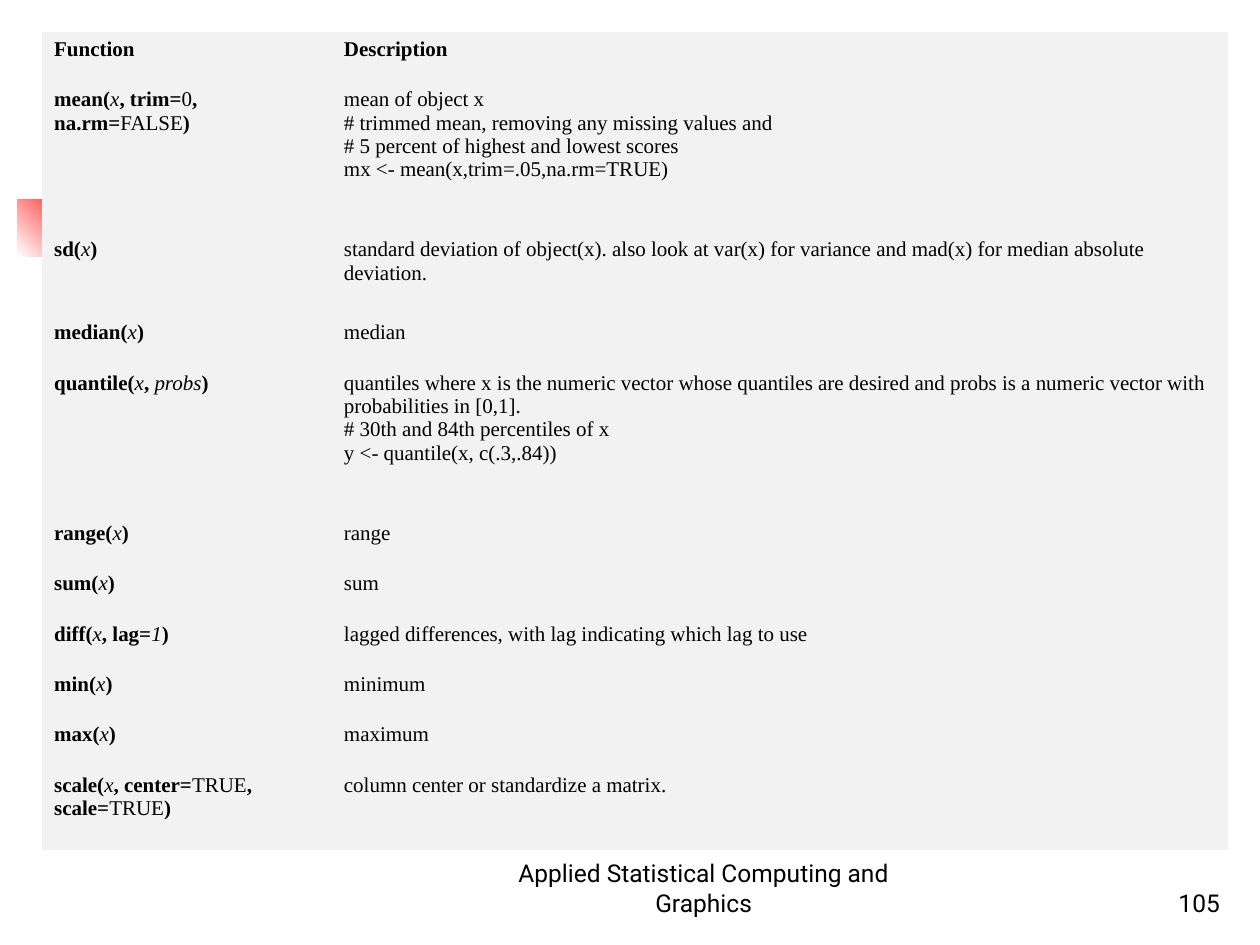
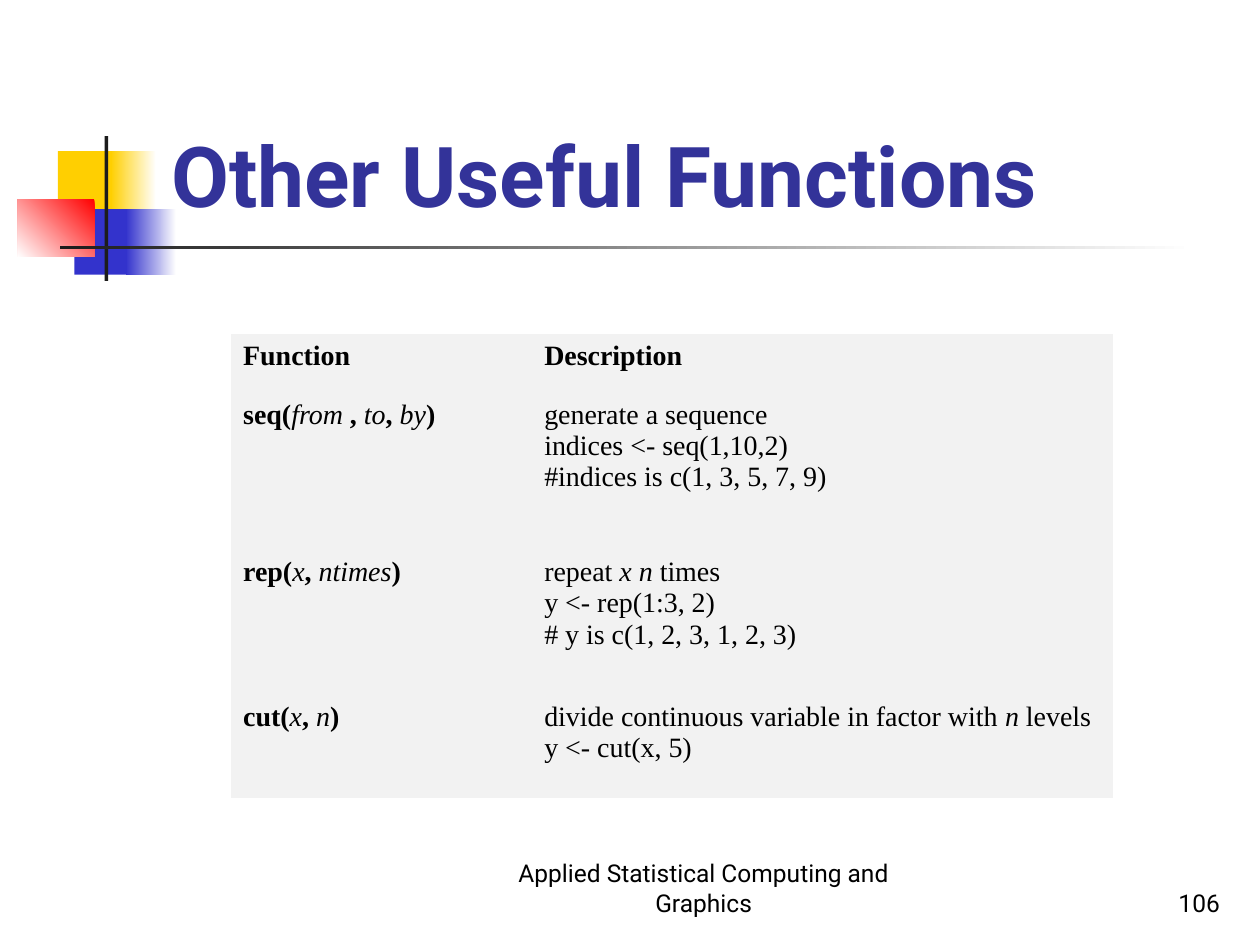
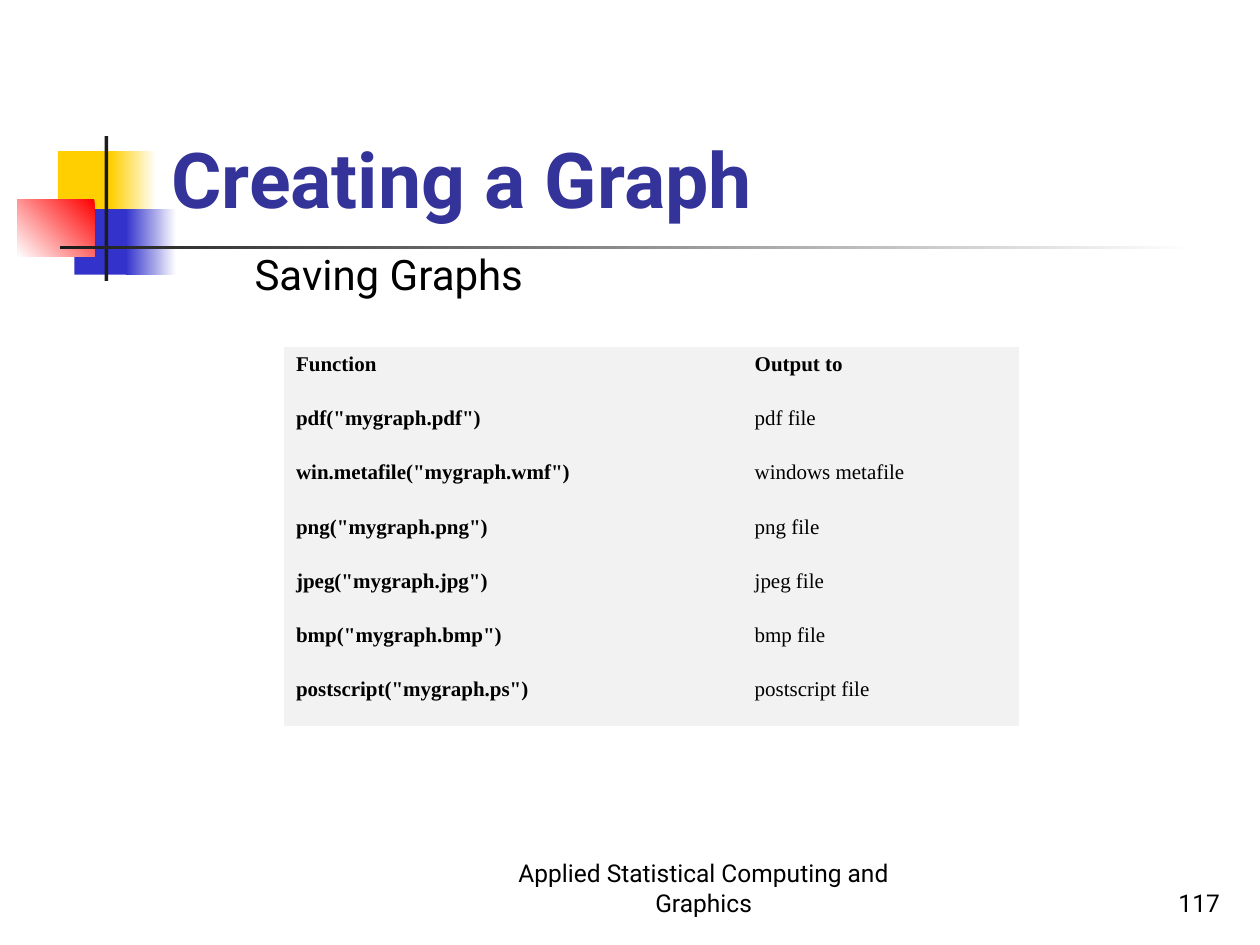
from pptx import Presentation
from pptx.dml.color import RGBColor as RGB
from pptx.enum.shapes import MSO_SHAPE as SHAPE
from pptx.enum.text import MSO_ANCHOR as ANCHOR, MSO_AUTO_SIZE as AUTO, PP_ALIGN as ALIGN
from pptx.oxml.ns import qn
from pptx.util import Inches, Pt
from lxml import etree

WHITE = RGB(0xFF, 0xFF, 0xFF)
BLACK = RGB(0x00, 0x00, 0x00)
GOLD = RGB(0xFF, 0xCF, 0x01)
BLUE = RGB(0x33, 0x33, 0xCC)
RED = RGB(0xFF, 0x00, 0x00)
DARK = RGB(0x1C, 0x1C, 0x1C)
NAVY = RGB(0x33, 0x33, 0x99)
GREY = RGB(0xF2, 0xF2, 0xF2)
SANS, SERIF = "Roboto", "Times New Roman"
PLAIN = "{2D5ABB26-0587-4C30-8999-92F81FD0307C}"  # table style without grid
FOOTER = "Applied Statistical Computing and Graphics"
VALUES = ("0", "TRUE", "FALSE")  # upright inside a call

# left, top, width, height, start colour, end colour, angle
DECOR = [
    (0.46, 1.2, 0.48, 0.52, GOLD, None, 0),
    (0.88, 1.2, 0.36, 0.52, WHITE, GOLD, 180),
    (0.59, 1.66, 0.46, 0.52, BLUE, None, 0),
    (1, 1.66, 0.4, 0.52, WHITE, BLUE, 180),
    (0.14, 1.58, 0.61, 0.46, RED, WHITE, 225),
    (0.83, 1.08, 0.03, 1.15, DARK, None, 0),
    (0.48, 1.95, 9, 0.03, WHITE, DARK, 180),
]

# In a cell, every second piece between bars is an argument.
STATS = [
    ("Function", "Description"),
    ("mean(|x|, trim=|0|,\nna.rm=|FALSE|)",
     "mean of object x\n# trimmed mean, removing any missing values and\n"
     "# 5 percent of highest and lowest scores\nmx <- mean(x,trim=.05,na.rm=TRUE)"),
    ("sd(|x|)", "standard deviation of object(x). also look at var(x) for variance "
     "and mad(x) for median absolute deviation."),
    ("median(|x|)", "median"),
    ("quantile(|x|, |probs|)",
     "quantiles where x is the numeric vector whose quantiles are desired and probs "
     "is a numeric vector with probabilities in [0,1].\n"
     "# 30th and 84th percentiles of x\ny <- quantile(x, c(.3,.84))"),
    ("range(|x|)", "range"),
    ("sum(|x|)", "sum"),
    ("diff(|x|, lag=|1|)", "lagged differences, with lag indicating which lag to use"),
    ("min(|x|)", "minimum"),
    ("max(|x|)", "maximum"),
    ("scale(|x|, center=|TRUE|, scale=|TRUE|)", "column center or standardize a matrix."),
]
USEFUL = [
    ("Function", "Description"),
    ("seq(|from| ,| to|,| by|)",
     "generate a sequence\nindices <- seq(1,10,2)\n#indices is c(1, 3, 5, 7, 9)"),
    ("rep(|x|, |ntimes|)",
     "repeat |x n| times\ny <- rep(1:3, 2)\n# y is c(1, 2, 3, 1, 2, 3)"),
    ("cut(|x|,| n|)",
     "divide continuous variable in factor with |n| levels\ny <- cut(x, 5)"),
]
SAVING = [
    ("Function", "Output to"),
    ('pdf("mygraph.pdf")', "pdf file"),
    ('win.metafile("mygraph.wmf")', "windows metafile"),
    ('png("mygraph.png")', "png file"),
    ('jpeg("mygraph.jpg")', "jpeg file"),
    ('bmp("mygraph.bmp")', "bmp file"),
    ('postscript("mygraph.ps")', "postscript file"),
]

# layout, title, title size, page, rows, place, column widths, row heights, text size
SLIDES = [
    (6, None, 0, 105, STATS, (0.33, 0.25), (2.3, 7.12),
     (0.4, 1.19, 0.66, 0.4, 1.19, 0.4, 0.4, 0.4, 0.4, 0.4, 0.66), 12),
    (5, "Other Useful Functions", 48, 106, USEFUL, (1.83, 2.65), (2.39, 4.61),
     (0.47, 1.25, 1.15, 0.81), 16),
    (1, "Creating a Graph", 44, 117, SAVING, (2.25, 2.75), (3.64, 2.2),
     (0.43,) * 7, 12),
]


def write(para, text, size, face=SANS, color=BLACK, bold=False, italic=False):
    """Add text as runs, with a line break at each newline."""
    for i, line in enumerate(text.split("\n")):
        if i:
            para.add_line_break()
        if line:
            run = para.add_run()
            run.text = line
            font = run.font
            font.name, font.size, font.color.rgb = face, Pt(size), color
            font.bold, font.italic = bold, italic


def place(shape, left, top, width, height):
    shape.left, shape.top = Inches(left), Inches(top)
    shape.width, shape.height = Inches(width), Inches(height)


prs = Presentation()
prs.slide_width, prs.slide_height = Inches(10), Inches(7.5)

for layout, title, big, page, rows, spot, widths, heights, size in SLIDES:
    slide = prs.slides.add_slide(prs.slide_layouts[layout])
    shapes = slide.shapes

    for *box, start, end, angle in DECOR:
        block = shapes.add_shape(SHAPE.RECTANGLE, *map(Inches, box))
        block.shadow.inherit = False
        block.line.fill.background()
        if end is None:
            block.fill.solid()
            block.fill.fore_color.rgb = start
        else:
            block.fill.gradient()
            block.fill.gradient_angle = angle
            for stop, color in zip(block.fill.gradient_stops, (start, end)):
                stop.color.rgb = color

    if title:
        head = shapes.title
        place(head, 1.26, 0.23, 8.52, 1.6)
        frame = head.text_frame
        frame.auto_size, frame.vertical_anchor = AUTO.NONE, ANCHOR.BOTTOM
        frame.paragraphs[0].alignment = ALIGN.LEFT
        write(frame.paragraphs[0], title, big, color=NAVY, bold=True)

    if layout == 1:
        body = slide.placeholders[1]
        place(body, 0.92, 2, 8.5, 4.25)
        body.text_frame.auto_size = AUTO.NONE
        para = body.text_frame.paragraphs[0]
        para.level = 2
        para.line_spacing, para.space_before = 0.8, Pt(0)
        props = para._p.get_or_add_pPr()
        props.set("marL", str(Inches(1.33)))
        props.set("indent", str(Inches(-0.33)))
        etree.SubElement(props, qn("a:buNone"))
        write(para, "Saving Graphs", 24)

    grid = shapes.add_table(len(rows), 2, *map(Inches, spot),
                            Inches(sum(widths)), Inches(sum(heights))).table
    grid.first_row = grid.horz_banding = False
    grid._tbl.tblPr.find(qn("a:tableStyleId")).text = PLAIN
    for col, width in zip(grid.columns, widths):
        col.width = Inches(width)
    for r, (row, height) in enumerate(zip(rows, heights)):
        grid.rows[r].height = Inches(height)
        for c, text in enumerate(row):
            cell = grid.cell(r, c)
            cell.fill.solid()
            cell.fill.fore_color.rgb = GREY
            for i, piece in enumerate(text.split("|")):
                arg = i % 2 == 1
                write(cell.text_frame.paragraphs[0], piece, size, SERIF,
                      bold=not arg and (r == 0 or c == 0),
                      italic=arg and piece not in VALUES)

    for left, width, text, align in ((4, 3.17, FOOTER, ALIGN.CENTER),
                                     (7.7, 2.08, str(page), ALIGN.RIGHT)):
        note = shapes.add_textbox(Inches(left), Inches(6.83), Inches(width), Inches(0.5))
        frame = note.text_frame
        frame.word_wrap, frame.vertical_anchor = True, ANCHOR.BOTTOM
        frame.paragraphs[0].alignment = align
        write(frame.paragraphs[0], text, 14)

prs.save("out.pptx")
